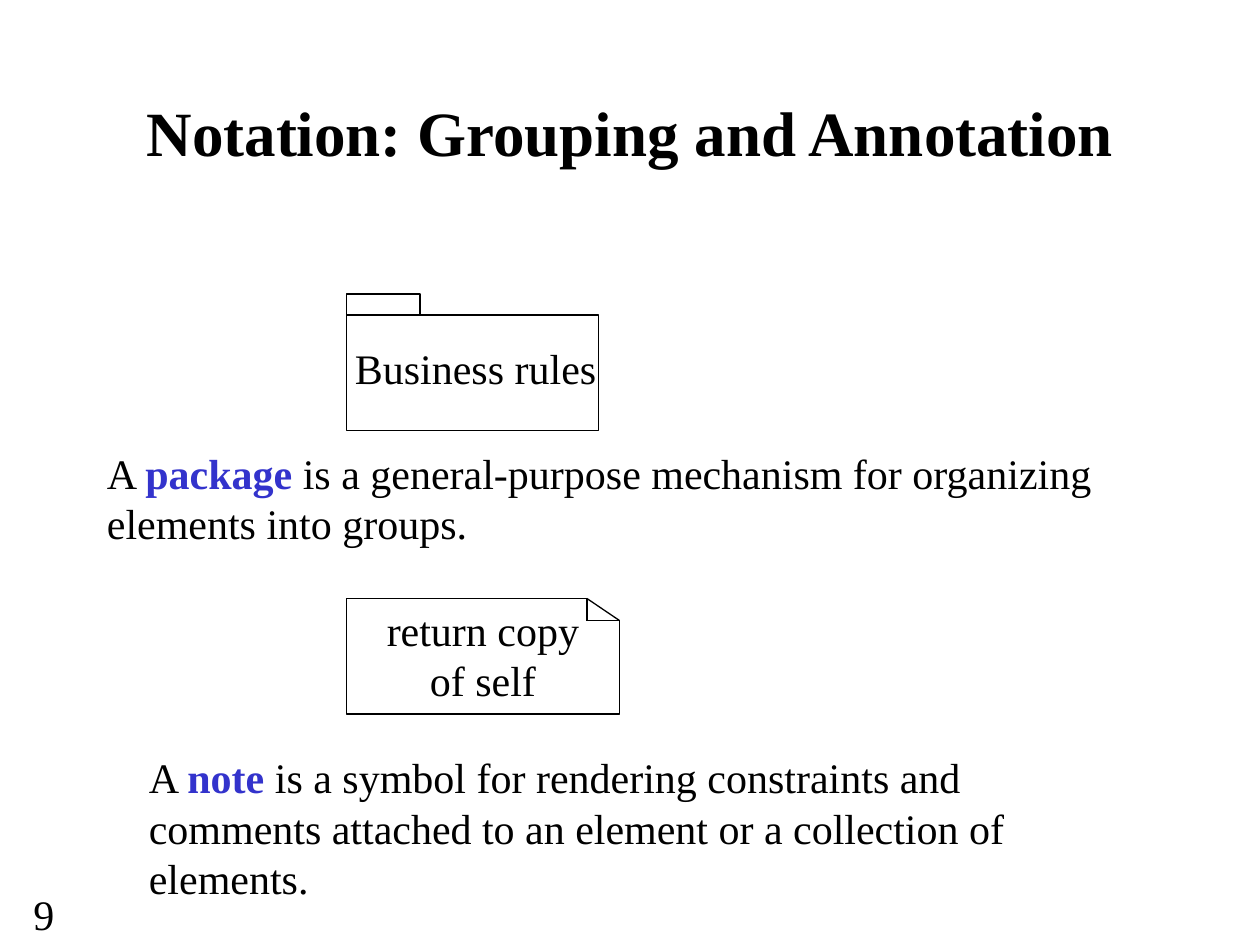
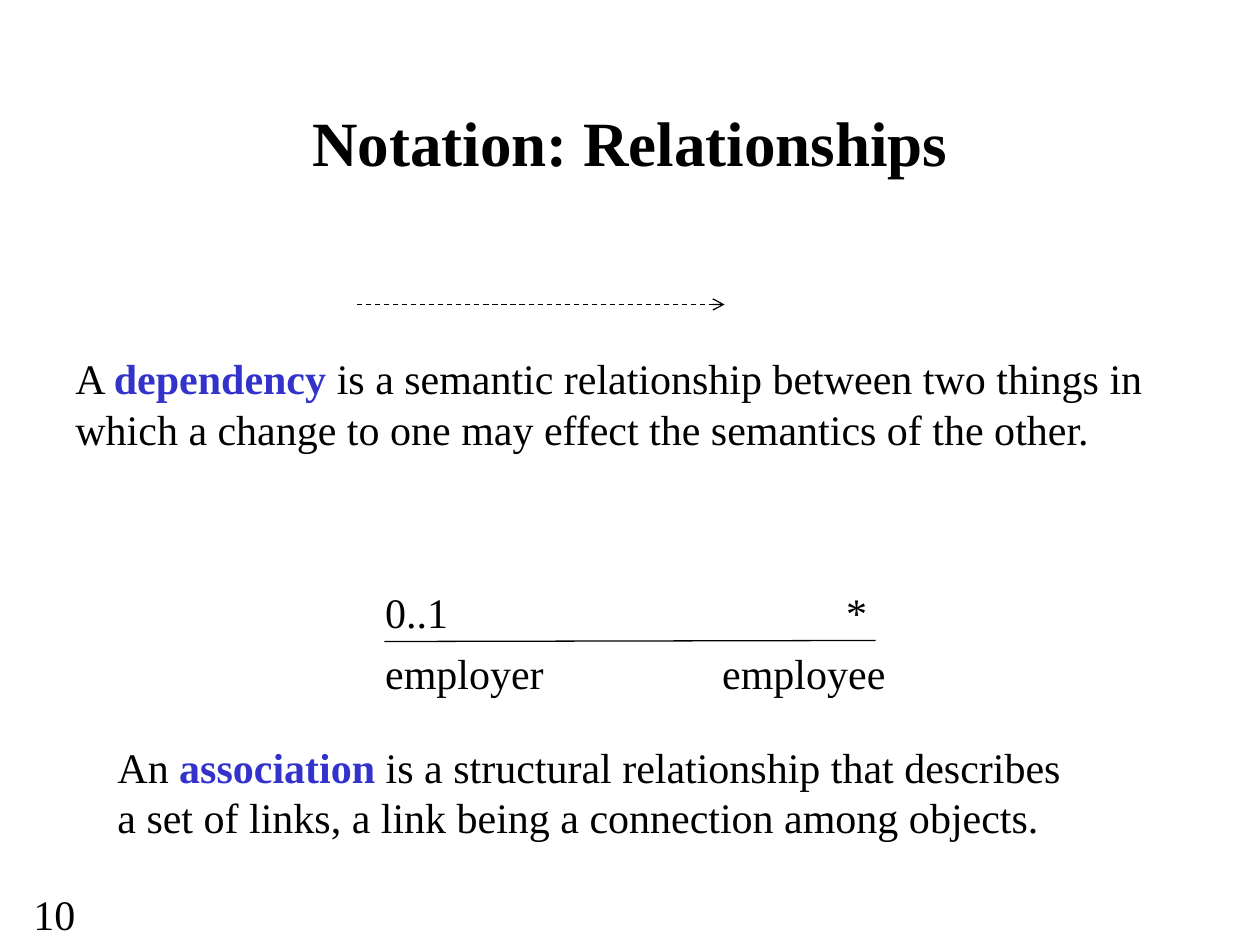
import pptx
import pptx.util
import pptx.dml.color
import pptx.enum.dml
import pptx.enum.shapes
import pptx.enum.text
import pptx.oxml.ns
from lxml import etree

HUES = {"ink": "000000", "key": "3333CC", "page": "FFFFFF"}
FACE = "Times New Roman"
UNIT = pptx.util.Inches(10) // 120
ALIGN = pptx.enum.text.PP_ALIGN
PLAIN = {"name": FACE, "size": pptx.util.Pt(24), "bold": False}
TITLE = {**PLAIN, "size": pptx.util.Pt(36), "bold": True}
TERM = {**PLAIN, "bold": True}
THIN = pptx.util.Pt(0.75)


def grid(*spans):
    return [round(span * UNIT) for span in spans]


def hue(name):
    return pptx.dml.color.RGBColor.from_string(HUES[name])


def child(node, tag, **attrs):
    return etree.SubElement(node, pptx.oxml.ns.qn(tag), **attrs)


def write(para, text, style=PLAIN, tint="ink"):
    run = para.add_run()
    run.text = text
    for key, value in style.items():
        setattr(run.font, key, value)
    run.font.color.rgb = hue(tint)


def text_box(slide, box, align=ALIGN.LEFT):
    frame = slide.shapes.add_textbox(*grid(*box)).text_frame
    frame.word_wrap = True
    frame.paragraphs[0].alignment = align
    return frame


def label(slide, box, text, align=ALIGN.LEFT):
    write(text_box(slide, box, align).paragraphs[0], text)


def define(slide, box, lead, term, rest):
    para = text_box(slide, box).paragraphs[0]
    write(para, lead)
    write(para, term, TERM, "key")
    write(para, rest)


def block(slide, box, edge="ink"):
    shape = slide.shapes.add_shape(
        pptx.enum.shapes.MSO_SHAPE.RECTANGLE, *grid(*box))
    shape.shadow.inherit = False
    shape.fill.solid()
    shape.fill.fore_color.rgb = hue("page")
    shape.line.color.rgb = hue(edge)
    shape.line.width = THIN


def link(slide, start, end, arrow=False):
    line = slide.shapes.add_connector(
        pptx.enum.shapes.MSO_CONNECTOR.STRAIGHT, *grid(*start, *end))
    line.line.color.rgb = hue("ink")
    line.line.width = THIN
    if arrow:
        line.line.dash_style = pptx.enum.dml.MSO_LINE.DASH
        child(line.line._get_or_add_ln(), "a:tailEnd", type="arrow")
    child(line.element.spPr, "a:effectLst")


def package(slide, box, text):
    left, top, width, height = box
    block(slide, (left, top, 7, 3))
    block(slide, (left, top + 2, width, height - 2))
    label(slide, (left - 2.7, top + 4, width + 6, 6), text, ALIGN.CENTER)


def note(slide, box, text):
    left, top, width, height = box
    right = left + width
    block(slide, box)
    block(slide, (right - 3, top - 1, 4, 3), "page")
    peak = (right - 3.1, top)
    inner = (right - 3.1, top + 2.1)
    outer = (right, top + 2.1)
    for start, end in ((peak, outer), (peak, inner), (inner, outer)):
        link(slide, start, end)
    label(slide, (left + 0.5, top - 0.05, width - 1, height), text, ALIGN.CENTER)


def relate(slide, box, rows):
    left, top, width, height = box
    link(slide, (left + 1.1, top + 5.85), (left + 47.9, top + 5.75))
    frame = text_box(slide, box)
    for rank, (near, far, stop) in enumerate(rows):
        para = frame.add_paragraph() if rank else frame.paragraphs[0]
        tabs = child(para._p.get_or_add_pPr(), "a:tabLst")
        child(tabs, "a:tab", pos=str(round(stop * UNIT)), algn="l")
        if rank:
            para.space_before = pptx.util.Pt(6)
        write(para, f"{near}\t{far}")


def page(deck, title, top, number):
    slide = deck.slides.add_slide(deck.slide_layouts[6])
    label(slide, (2, 84, 8, 6), number)
    frame = text_box(slide, (9, top, 102, 15), ALIGN.CENTER)
    frame.vertical_anchor = pptx.enum.text.MSO_ANCHOR.MIDDLE
    write(frame.paragraphs[0], title, TITLE)
    return slide


def grouping(deck):
    slide = page(deck, "Notation: Grouping and Annotation", 5, "9")
    define(slide, (9, 42, 105, 11), "A ", "package",
           " is a general-purpose mechanism for organizing elements into groups.")
    package(slide, (33, 28, 24, 13), "Business rules")
    note(slide, (33, 57, 26, 11), "return copy of self")
    define(slide, (13, 71, 90, 16), "A ", "note ",
           "is a symbol for rendering constraints and comments"
           " attached to an element or a collection of elements.")


def relations(deck):
    slide = page(deck, "Notation: Relationships", 6, "10")
    link(slide, (34, 29), (69, 29), arrow=True)
    define(slide, (6, 33, 105, 11), "A ", "dependency ",
           "is a semantic relationship between two things in which"
           " a change to one may effect the semantics of the other.")
    relate(slide, (35.5, 55.25, 51, 12),
           [("0..1", "*", 43.9), ("employer", "employee", 32.1)])
    define(slide, (10, 70, 94, 11), "An ", "association",
           " is a structural relationship that describes a set of links,"
           " a link being a connection among objects.")


def main():
    deck = pptx.Presentation()
    deck.slide_width, deck.slide_height = grid(120, 90)
    grouping(deck)
    relations(deck)
    deck.save("out.pptx")


if __name__ == "__main__":
    main()
